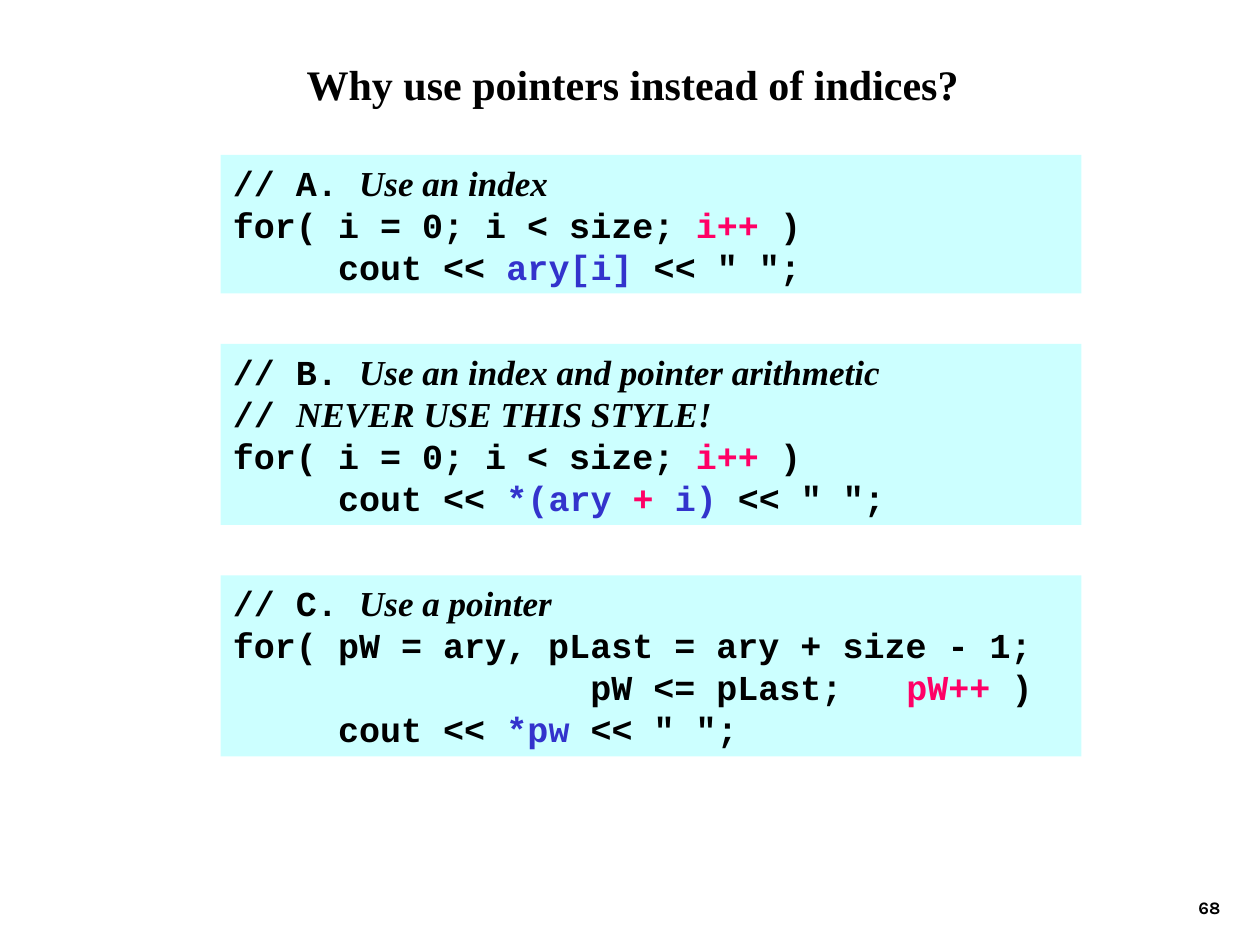
from dataclasses import dataclass

from pptx import Presentation
from pptx.dml.color import RGBColor
from pptx.enum.shapes import MSO_SHAPE
from pptx.enum.text import MSO_ANCHOR, MSO_AUTO_SIZE, PP_ALIGN
from pptx.util import Inches, Pt

COLUMNS, ROWS = 120, 90
SLIDE_WIDTH, SLIDE_HEIGHT = Inches(10), Inches(7.5)


@dataclass(frozen=True)
class Theme:
    ink: str = "000000"
    step: str = "FF0066"
    access: str = "3333CC"
    panel: str = "CCFFFF"
    prose_font: str = "Times New Roman"
    code_font: str = "Courier New"
    number_font: str = "Karla"
    title_size: int = 24
    code_size: int = 20
    number_size: int = 10


THEME = Theme()

# Each role gives font, colour and italic.
ROLES = {
    "code": (THEME.code_font, THEME.ink, False),
    "step": (THEME.code_font, THEME.step, False),
    "access": (THEME.code_font, THEME.access, False),
    "remark": (THEME.prose_font, THEME.ink, True),
}

# Shared code lines
INDEX_LOOP = [("for( i = 0; i < size; ", "code"), ("i++", "step"), (" )", "code")]
PRINT_START = ("     cout << ", "code")
PRINT_END = (' << " ";', "code")

EXAMPLES = [
    [
        [("// A. ", "code"), ("Use an index", "remark")],
        INDEX_LOOP,
        [PRINT_START, ("ary[i]", "access"), PRINT_END],
    ],
    [
        [("// B. ", "code"), ("Use an index and pointer arithmetic", "remark")],
        [("// ", "code"), ("NEVER USE THIS STYLE!", "remark")],
        INDEX_LOOP,
        [PRINT_START, ("*(ary ", "access"), ("+ ", "step"), ("i)", "access"), PRINT_END],
    ],
    [
        [("// C. ", "code"), ("Use a pointer", "remark")],
        [("for( pW = ary, pLast = ary + size - 1;", "code")],
        [("                 pW <= pLast;   ", "code"), ("pW++", "step"), (" )", "code")],
        [PRINT_START, ("*pw", "access"), PRINT_END],
    ],
]


def on_grid(column, row, columns, rows):
    """Turn grid units into left, top, width and height."""
    cell_width, cell_height = SLIDE_WIDTH / COLUMNS, SLIDE_HEIGHT / ROWS
    return (round(column * cell_width), round(row * cell_height),
            round(columns * cell_width), round(rows * cell_height))


def style(run, font, size, color, italic=False):
    run.font.name = font
    run.font.size = Pt(size)
    run.font.bold = True
    run.font.italic = italic
    run.font.color.rgb = RGBColor.from_string(color)


def prepare(frame, anchor=MSO_ANCHOR.TOP):
    frame.word_wrap = True
    frame.auto_size = MSO_AUTO_SIZE.NONE
    frame.vertical_anchor = anchor


def place_title(slide, box, wording):
    title = slide.shapes.title
    title.left, title.top, title.width, title.height = box
    prepare(title.text_frame)
    title.text_frame.text = wording
    heading = title.text_frame.paragraphs[0]
    heading.alignment = PP_ALIGN.LEFT
    style(heading.runs[0], THEME.prose_font, THEME.title_size, THEME.ink)


def place_code(slide, box, lines):
    panel = slide.shapes.add_shape(MSO_SHAPE.RECTANGLE, *box)
    panel.shadow.inherit = False
    panel.fill.solid()
    panel.fill.fore_color.rgb = RGBColor.from_string(THEME.panel)
    panel.line.fill.background()
    frame = panel.text_frame
    prepare(frame)
    for number, line in enumerate(lines):
        paragraph = frame.add_paragraph() if number else frame.paragraphs[0]
        paragraph.alignment = PP_ALIGN.LEFT
        for wording, role in line:
            run = paragraph.add_run()
            run.text = wording
            font, color, italic = ROLES[role]
            style(run, font, THEME.code_size, color, italic)


def place_examples(slide, column, row, columns):
    """Stack the code panels, each as tall as its lines need."""
    line_rows, padding_rows, gap_rows = 4.05, 1.05, 4.8
    for lines in EXAMPLES:
        rows = len(lines) * line_rows + padding_rows
        place_code(slide, on_grid(column, row, columns, rows), lines)
        row += rows + gap_rows


def place_page_number(slide, box, number):
    frame = slide.shapes.add_textbox(*box).text_frame
    prepare(frame, MSO_ANCHOR.BOTTOM)
    frame.text = str(number)
    frame.paragraphs[0].alignment = PP_ALIGN.RIGHT
    style(frame.paragraphs[0].runs[0], THEME.number_font, THEME.number_size, THEME.ink)


def main():
    deck = Presentation()
    deck.slide_width, deck.slide_height = SLIDE_WIDTH, SLIDE_HEIGHT
    slide = deck.slides.add_slide(deck.slide_layouts.get_by_name("Title Only"))
    place_title(slide, on_grid(28, 5, 66, 6), "Why use pointers instead of indices?")
    place_examples(slide, 21, 14.75, 82)
    place_page_number(slide, on_grid(92.4, 82, 25, 6), 68)
    deck.save("out.pptx")


if __name__ == "__main__":
    main()
